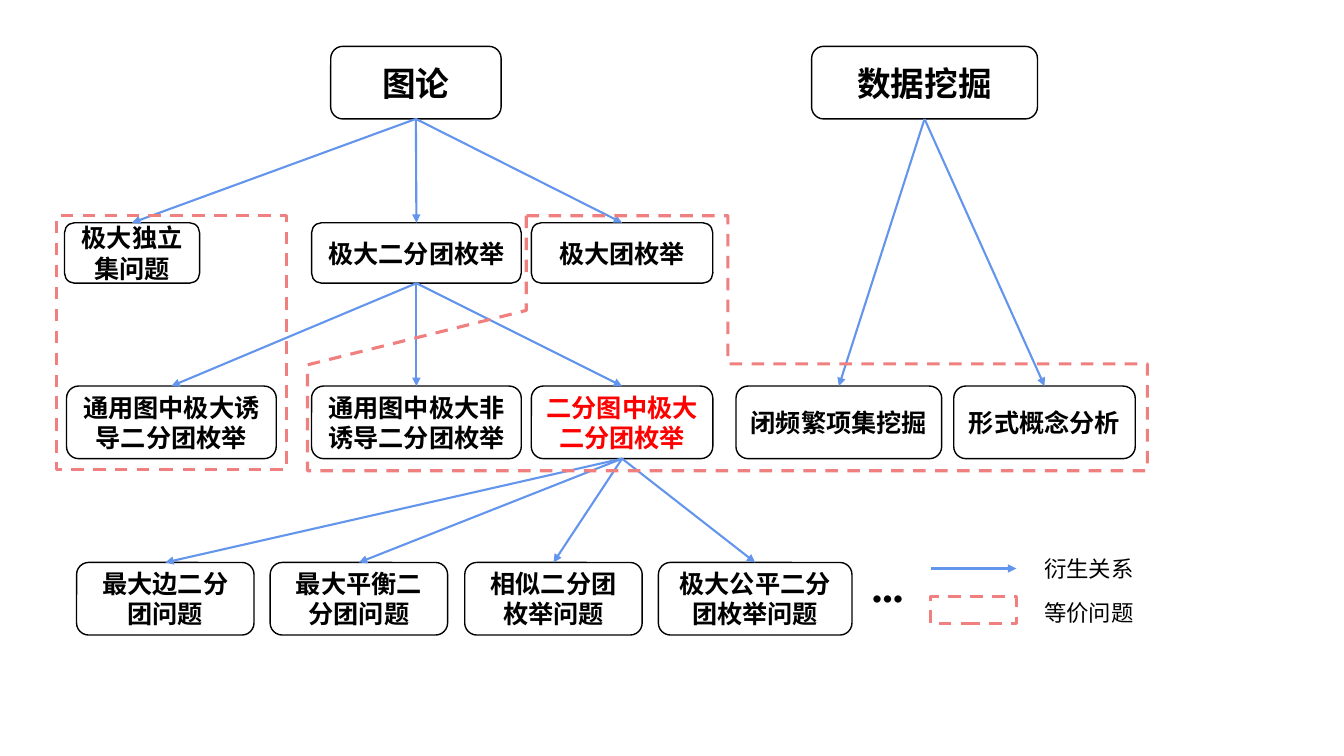
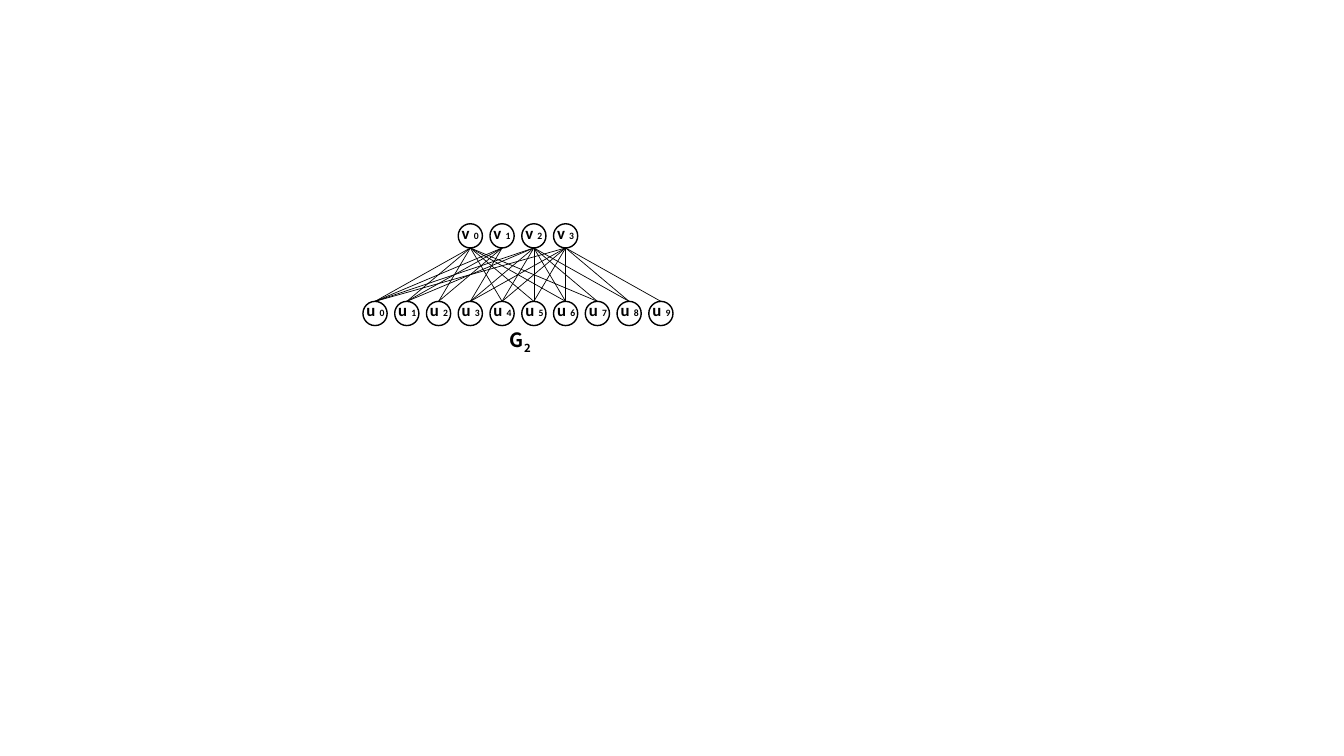
import dataclasses
import typing

import pptx
import pptx.dml.color
import pptx.enum.dml
import pptx.enum.shapes
import pptx.enum.text
import pptx.oxml.ns
import pptx.oxml.xmlchemy
import pptx.util
from lxml import etree

Inches = pptx.util.Inches
Pt = pptx.util.Pt
RGBColor = pptx.dml.color.RGBColor
Shapes = pptx.enum.shapes.MSO_SHAPE
qn = pptx.oxml.ns.qn

# Shared look
BLACK = RGBColor(0x00, 0x00, 0x00)
RED = RGBColor(0xFF, 0x00, 0x00)
BLUE = RGBColor(0x64, 0x95, 0xED)
CORAL = RGBColor(0xF0, 0x80, 0x80)
CHINESE_FONT = "Noto Sans CJK SC"
LATIN_FONT = "Calibri"
CENTERED = {"vertical_anchor": pptx.enum.text.MSO_ANCHOR.MIDDLE, "word_wrap": True}
GROWING = {"auto_size": pptx.enum.text.MSO_AUTO_SIZE.SHAPE_TO_FIT_TEXT}
TOP, BOTTOM = 0, 2


@dataclasses.dataclass(frozen=True)
class Row:
    top: float
    height: float
    size: int = 18


@dataclasses.dataclass(frozen=True)
class Topic:
    key: str
    text: str
    row: Row
    left: float
    width: float
    color: RGBColor = BLACK


@dataclasses.dataclass(frozen=True)
class Label:
    text: str
    left: float
    top: float
    width: float
    height: float
    size: int
    bold: bool = False
    wrap: bool = False
    font: str = LATIN_FONT
    subscript: str = ""


FIELDS = Row(0.46, 0.72, 24)
PROBLEMS = Row(2.21, 0.6)
VARIANTS = Row(3.83, 0.72)
EXTENSIONS = Row(5.58, 0.72)

TOPICS = [
    Topic("graph", "图论", FIELDS, 3.28, 1.69),
    Topic("mining", "数据挖掘", FIELDS, 8.05, 2.24),
    Topic("biclique", "极大二分团枚举", PROBLEMS, 3.09, 2.08),
    Topic("clique", "极大团枚举", PROBLEMS, 5.27, 1.8),
    Topic("independent", "极大独立集问题", PROBLEMS, 0.64, 1.34),
    Topic("induced", "通用图中极大诱\n导二分团枚举", VARIANTS, 0.66, 2.08),
    Topic("bipartite", "二分图中极大二分团枚举", VARIANTS, 5.27, 1.8, RED),
    Topic("non_induced", "通用图中极大非诱导二分团枚举", VARIANTS, 3.09, 2.08),
    Topic("itemset", "闭频繁项集挖掘", VARIANTS, 7.3, 2.04),
    Topic("concept", "形式概念分析", VARIANTS, 9.46, 1.8),
    Topic("edge", "最大边二分团问题", EXTENSIONS, 0.76, 1.76),
    Topic("balanced", "最大平衡二分团问题", EXTENSIONS, 2.68, 1.76),
    Topic("similar", "相似二分团枚举问题", EXTENSIONS, 4.61, 1.76),
    Topic("fair", "极大公平二分团枚举问题", EXTENSIONS, 6.53, 1.92),
]
DERIVATIONS = {
    "graph": ["independent", "biclique", "clique"],
    "biclique": ["induced", "non_induced", "bipartite"],
    "bipartite": ["edge", "balanced", "similar", "fair"],
    "mining": ["itemset", "concept"],
}
EQUIVALENT_OUTLINE = [
    (5.22, 2.14), (5.22, 3.08), (3.05, 3.62), (3.05, 4.67),
    (11.38, 4.67), (11.38, 3.61), (7.22, 3.61), (7.22, 2.14),
]
DASHED_BOXES = [(0.56, 2.14, 2.28, 2.52), (9.23, 5.92, 0.85, 0.27)]
MAP_LABELS = [
    Label("衍生关系", 10.26, 5.46, 1.1, 0.37, 16),
    Label("等价问题", 10.26, 5.89, 1.1, 0.37, 16),
    Label("···", 8.55, 5.62, 1.51, 0.57, 28, bold=True, wrap=True),
]

# Bipartite graph: each v vertex lists its u neighbours
NEIGHBOURS = [
    [0, 1, 2, 4, 5, 6, 7],
    [0, 1, 2, 3],
    [0, 1, 3, 4, 5, 6, 7, 8],
    [0, 3, 4, 5, 6, 8, 9],
]
U_COUNT = 10
V_COLUMN = 3
V_TOP, U_TOP = 2.22, 2.99
FIRST_LEFT, PITCH, DIAMETER = 3.6, 0.63 / 2, 0.24
GRAPH_LABEL = Label("G", 4.96, 3.2, 0.7, 0.34, 14, True, True, CHINESE_FONT, "2")


def apply_format(target: typing.Any, values: dict[str, typing.Any]) -> None:
    for name, value in values.items():
        setattr(target, name, value)


def add_run(paragraph, text: str, font: str, size: int, bold: bool,
            color: RGBColor = BLACK, subscript: bool = False) -> None:
    run = paragraph.add_run()
    run.text = text
    apply_format(run.font, {"name": font, "size": Pt(size), "bold": bold})
    run.font.color.rgb = color
    properties = run.font._element
    if font == CHINESE_FONT:
        etree.SubElement(properties, qn("a:ea")).set("typeface", font)
    if subscript:
        properties.set("baseline", "-25000")


def outline(shape, color: RGBColor, width: float, dashed: bool = False) -> None:
    shape.shadow.inherit = False
    shape.fill.background()
    shape.line.color.rgb = color
    shape.line.width = Pt(width)
    if dashed:
        shape.line.dash_style = pptx.enum.dml.MSO_LINE.DASH


def add_outlined(slide, kind: Shapes, left: float, top: float, width: float,
                 height: float, color: RGBColor, line: float, dashed: bool = False):
    shape = slide.shapes.add_shape(
        kind, Inches(left), Inches(top), Inches(width), Inches(height))
    outline(shape, color, line, dashed)
    return shape


def add_line(slide, start: tuple[float, float], end: tuple[float, float],
             color: RGBColor, width: float, arrow: bool = False):
    connector = slide.shapes.add_connector(
        pptx.enum.shapes.MSO_CONNECTOR.STRAIGHT,
        *(Inches(value) for value in (*start, *end)))
    connector.line.color.rgb = color
    connector.line.width = Pt(width)
    if arrow:
        line = connector.line._get_or_add_ln()
        etree.SubElement(line, qn("a:tailEnd")).set("type", "triangle")
    etree.SubElement(connector._element.spPr, qn("a:effectLst"))
    return connector


def add_topic(slide, topic: Topic):
    row = topic.row
    shape = add_outlined(slide, Shapes.ROUNDED_RECTANGLE, topic.left, row.top,
                         topic.width, row.height, BLACK, 1)
    frame = shape.text_frame
    apply_format(frame, CENTERED)
    for index, text in enumerate(topic.text.split("\n")):
        paragraph = frame.add_paragraph() if index else frame.paragraphs[0]
        paragraph.alignment = pptx.enum.text.PP_ALIGN.CENTER
        add_run(paragraph, text, CHINESE_FONT, row.size, True, topic.color)
    return shape


def add_label(slide, label: Label) -> None:
    box = slide.shapes.add_textbox(
        Inches(label.left), Inches(label.top), Inches(label.width), Inches(label.height))
    apply_format(box.text_frame, GROWING | {"word_wrap": label.wrap})
    paragraph = box.text_frame.paragraphs[0]
    add_run(paragraph, label.text, label.font, label.size, label.bold)
    if label.subscript:
        add_run(paragraph, label.subscript, label.font, label.size, label.bold,
                subscript=True)


def add_vertex(slide, letter: str, number: int, left: float, top: float) -> None:
    shape = add_outlined(slide, Shapes.OVAL, left, top, DIAMETER, DIAMETER, BLACK, 1)
    shape.rotation = 270
    frame = shape.text_frame
    apply_format(frame, CENTERED | {
        "margin_left": Inches(0.04), "margin_top": 0,
        "margin_right": 0, "margin_bottom": 0})
    frame._txBody.bodyPr.set("vert", "eaVert")
    paragraph = frame.paragraphs[0]
    paragraph.alignment = pptx.enum.text.PP_ALIGN.CENTER
    add_run(paragraph, letter, LATIN_FONT, 12, True)
    add_run(paragraph, str(number), LATIN_FONT, 12, True, subscript=True)


def vertex_left(column: int) -> float:
    return FIRST_LEFT + PITCH * column


def build_problem_map(slide) -> None:
    # Topics and the arrows that derive one from another
    boxes = {topic.key: add_topic(slide, topic) for topic in TOPICS}
    for source, targets in DERIVATIONS.items():
        for target in targets:
            arrow = add_line(slide, (0, 0), (1, 1), BLUE, 1.5, arrow=True)
            arrow.begin_connect(boxes[source], BOTTOM)
            arrow.end_connect(boxes[target], TOP)

    # Dashed regions of equivalent problems
    points = [(Inches(x), Inches(y)) for x, y in EQUIVALENT_OUTLINE]
    builder = slide.shapes.build_freeform(*points[0])
    builder.add_line_segments(points[1:], close=True)
    outline(builder.convert_to_shape(), CORAL, 2.25, dashed=True)
    for box in DASHED_BOXES:
        add_outlined(slide, Shapes.RECTANGLE, *box, CORAL, 2.25, dashed=True)

    # Legend
    add_line(slide, (9.23, 5.64), (10.08, 5.64), BLUE, 1.5, arrow=True)
    for label in MAP_LABELS:
        add_label(slide, label)


def build_bipartite_graph(slide) -> None:
    # Edges lie below the vertices
    radius = DIAMETER / 2
    for v, neighbours in enumerate(NEIGHBOURS):
        v_end = (vertex_left(V_COLUMN + v) + radius, V_TOP + DIAMETER)
        for u in neighbours:
            add_line(slide, (vertex_left(u) + radius, U_TOP), v_end, BLACK, 0.5)

    # Vertices and graph name
    for u in range(U_COUNT):
        add_vertex(slide, "u", u, vertex_left(u), U_TOP)
    for v in range(len(NEIGHBOURS)):
        add_vertex(slide, "v", v, vertex_left(V_COLUMN + v), V_TOP)
    add_label(slide, GRAPH_LABEL)


def main() -> None:
    presentation = pptx.Presentation()
    presentation.slide_width = Inches(13.33)
    presentation.slide_height = Inches(7.5)
    blank = presentation.slide_layouts[6]
    for build in (build_problem_map, build_bipartite_graph):
        build(presentation.slides.add_slide(blank))
    presentation.save("out.pptx")


if __name__ == "__main__":
    main()
